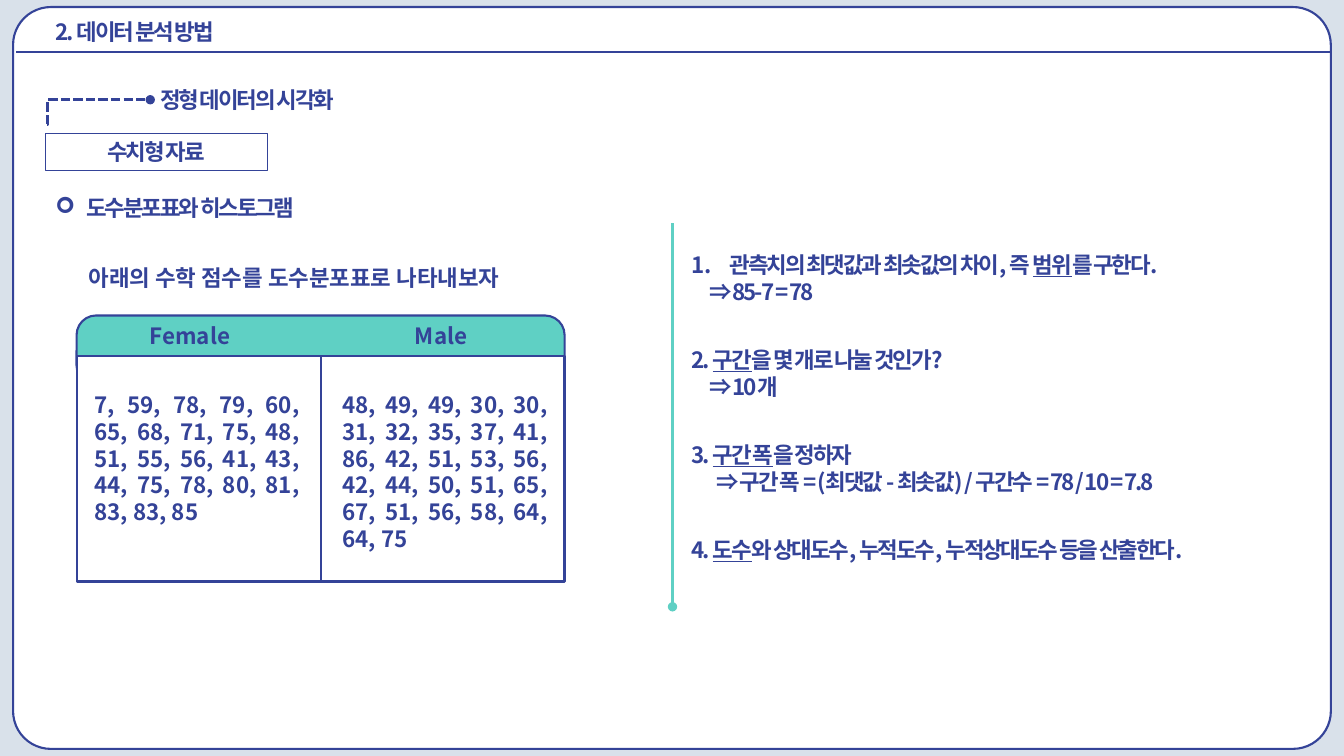
"""Builds a slide on frequency tables and histograms of numeric data."""
from lxml import etree
from pptx import Presentation
from pptx.dml.color import RGBColor
from pptx.enum.dml import MSO_LINE
from pptx.enum.shapes import MSO_CONNECTOR, MSO_SHAPE
from pptx.enum.text import MSO_ANCHOR, MSO_AUTO_SIZE, PP_ALIGN
from pptx.oxml.ns import qn
from pptx.util import Inches, Pt

NAVY = RGBColor(0x34, 0x43, 0x98)
TEAL = RGBColor(0x5F, 0xD0, 0xC4)
WHITE = RGBColor(0xFF, 0xFF, 0xFF)
PALE = RGBColor(0xD9, 0xE1, 0xEA)
FONT = "Noto Sans CJK KR"
LEFT, CENTER, JUSTIFY = PP_ALIGN.LEFT, PP_ALIGN.CENTER, PP_ALIGN.JUSTIFY
MIDDLE, TOP = MSO_ANCHOR.MIDDLE, MSO_ANCHOR.TOP
FIXED, GROW = MSO_AUTO_SIZE.NONE, MSO_AUTO_SIZE.SHAPE_TO_FIT_TEXT
ROUND, RECT = MSO_SHAPE.ROUNDED_RECTANGLE, MSO_SHAPE.RECTANGLE
LINE, ELBOW = MSO_CONNECTOR.STRAIGHT, MSO_CONNECTOR.ELBOW
DASH = MSO_LINE.SQUARE_DOT
TIGHT = -150

SCORES = [
    ("Female", 1.05, 0.84,
     "7, 59, 78, 79, 60, 65, 68, 71, 75, 48, 51, 55, 56, 41, 43, 44, 75, "
     "78, 80, 81, 83, 83, 85"),
    ("Male", 3.54, 3.3,
     "48, 49, 49, 30, 30, 31, 32, 35, 37, 41, 86, 42, 51, 53, 56, 42, 44, "
     "50, 51, 65, 67, 51, 56, 58, 64, 64, 75"),
]
STEPS = [
    (["관측치의 최댓값과 최솟값의 차이, 즉 ", "범위", "를 구한다."],
     "⇒ 85-7 = 78", 0.18),
    (["2. ", "구간", "을 몇 개로 나눌 것인가?"], "⇒ 10개", 0.18),
    (["3. ", "구간 폭", "을 정하자"],
     "⇒ 구간 폭 = (최댓값 - 최솟값) / 구간수 = 78 / 10 = 7.8", 0.25),
    (["4. ", "도수", "와 상대도수, 누적도수, 누적상대도수 등을 산출한다."], "", 0),
]


def style(para, spc=0):
    """Set the slide's font and letter spacing on a paragraph."""
    font = para.font
    font.size, font.bold, font.name = Pt(16), True, FONT
    font.color.rgb = NAVY
    props = para._p.pPr.find(qn("a:defRPr"))
    etree.SubElement(props, qn("a:ea"), typeface=FONT)
    if spc:
        props.set("spc", str(spc))


def indent(para, left, first=0):
    """Set the left margin and first-line indent of a paragraph in inches."""
    props = para._p.get_or_add_pPr()
    props.set("marL", str(Inches(left)))
    props.set("indent", str(Inches(first)))
    return props


def fill_text(box, text, spc=0, align=LEFT, gap=None, anchor=TOP, fit=GROW):
    """Write one styled paragraph into a box."""
    frame = box.text_frame
    frame.word_wrap, frame.auto_size = True, fit
    frame.vertical_anchor = anchor
    para = frame.paragraphs[0]
    para.text, para.alignment = text, align
    if gap:
        para.line_spacing = gap
    style(para, spc)


def add_box(slide, area):
    """Add a text box at an area given in inches."""
    return slide.shapes.add_textbox(*map(Inches, area))


def add_panel(slide, kind, area, fill, curve=None):
    """Add a filled shape with a navy outline."""
    panel = slide.shapes.add_shape(kind, *map(Inches, area))
    panel.shadow.inherit = False
    panel.fill.solid()
    panel.fill.fore_color.rgb = fill
    panel.line.color.rgb, panel.line.width = NAVY, Pt(1.5)
    if curve:
        panel.adjustments[0] = curve
    return panel


def add_line(slide, ends, color=NAVY, width=1.5, kind=LINE, dot=None):
    """Add a connector, with an oval at its headEnd or tailEnd if asked."""
    line = slide.shapes.add_connector(kind, *map(Inches, ends))
    line.line.color.rgb, line.line.width = color, Pt(width)
    if dot:
        etree.SubElement(line.line._get_or_add_ln(), qn("a:" + dot), type="oval")
    etree.SubElement(line._element.spPr, qn("a:effectLst"))
    return line


def add_title(slide):
    """Place the title above the rule at the top of the frame."""
    title = slide.shapes.title
    title.left, title.top = Inches(0.45), Inches(0.12)
    title.width, title.height = Inches(12.4), Inches(0.43)
    fill_text(title, "2. 데이터 분석 방법", TIGHT, gap=0.9, anchor=MIDDLE, fit=FIXED)
    slide.shapes._spTree.append(title._element)


def add_topic(slide):
    """Add the topic, its dashed elbow, the label and the bulleted heading."""
    fill_text(add_box(slide, (1.49, 0.79, 5.45, 0.43)), "정형 데이터의 시각화",
              TIGHT, gap=0.9, anchor=MIDDLE, fit=FIXED)
    elbow = add_line(slide, (0.47, 1.23, 1.49, 0.99), width=2.25, kind=ELBOW)
    elbow.line.dash_style = DASH
    etree.SubElement(elbow.line._get_or_add_ln(), qn("a:tailEnd"), type="oval")
    guides = elbow._element.spPr.find(qn("a:prstGeom")).find(qn("a:avLst"))
    etree.SubElement(guides, qn("a:gd"), name="adj1", fmla="val 400")

    label = add_box(slide, (0.45, 1.32, 2.2, 0.37))
    label.line.color.rgb, label.line.width = NAVY, Pt(0.75)
    fill_text(label, "수치형 자료", TIGHT, CENTER)

    head = add_box(slide, (0.45, 1.88, 2.8, 0.37))
    props = indent(head.text_frame.paragraphs[0], 0.31, -0.31)
    etree.SubElement(props, qn("a:buFont"), typeface="Wingdings")
    etree.SubElement(props, qn("a:buChar"), char="➢")
    tabs = etree.SubElement(props, qn("a:tabLst"))
    etree.SubElement(tabs, qn("a:tab"), pos=str(Inches(0.19)), algn="l")
    fill_text(head, "도수분포표와 히스토그램", TIGHT)


def add_scores(slide):
    """Add the panel with the scores of the two groups."""
    fill_text(add_box(slide, (0.78, 2.44, 4.94, 0.46)),
              "아래의 수학 점수를 도수분포표로 나타내보자", gap=1.5)
    add_panel(slide, ROUND, (0.76, 3.13, 4.84, 0.69), TEAL, 0.281)
    body = add_panel(slide, RECT, (0.76, 3.53, 4.84, 2.24), WHITE)
    split = add_line(slide, (3.18, 3.53, 3.18, 5.77))
    split.begin_connect(body, 0)
    split.end_connect(body, 2)
    for name, left, start, marks in SCORES:
        fill_text(add_box(slide, (left, 3.15, 1.67, 0.37)), name, align=CENTER)
        fill_text(add_box(slide, (start, 3.83, 2.23, 1.72)), marks, align=JUSTIFY)


def add_steps(slide):
    """Add the numbered steps with their key terms underlined."""
    add_line(slide, (6.67, 6.02, 6.67, 2.21), TEAL, 2.25, dot="headEnd")
    frame = add_box(slide, (6.76, 2.44, 6.68, 3.68)).text_frame
    frame.word_wrap, frame.auto_size = True, GROW
    for count, (parts, result, inset) in enumerate(STEPS):
        if count:
            para = frame.add_paragraph()
            para.space_before = Pt(29.5)
        else:
            para = frame.paragraphs[0]
            props = indent(para, 0.38, -0.38)
            etree.SubElement(props, qn("a:buFont"), typeface=FONT)
            etree.SubElement(props, qn("a:buAutoNum"), type="arabicPeriod")
        for place, part in enumerate(parts):
            run = para.add_run()
            run.text = part
            if place == 1:
                run.font.underline = True
        style(para, TIGHT)
        if result:
            para = frame.add_paragraph()
            para.text = result
            indent(para, inset)
            style(para, TIGHT)


def main():
    """Build and save the slide."""
    deck = Presentation()
    deck.slide_width, deck.slide_height = Inches(13.33), Inches(7.5)
    slide = deck.slides.add_slide(deck.slide_layouts[5])
    slide.background.fill.solid()
    slide.background.fill.fore_color.rgb = PALE
    add_panel(slide, ROUND, (0.13, 0.07, 13.07, 7.36), WHITE, 0.051)
    add_line(slide, (0.16, 0.52, 13.19, 0.52))
    add_title(slide)
    add_topic(slide)
    add_scores(slide)
    add_steps(slide)
    deck.save("out.pptx")


if __name__ == "__main__":
    main()
